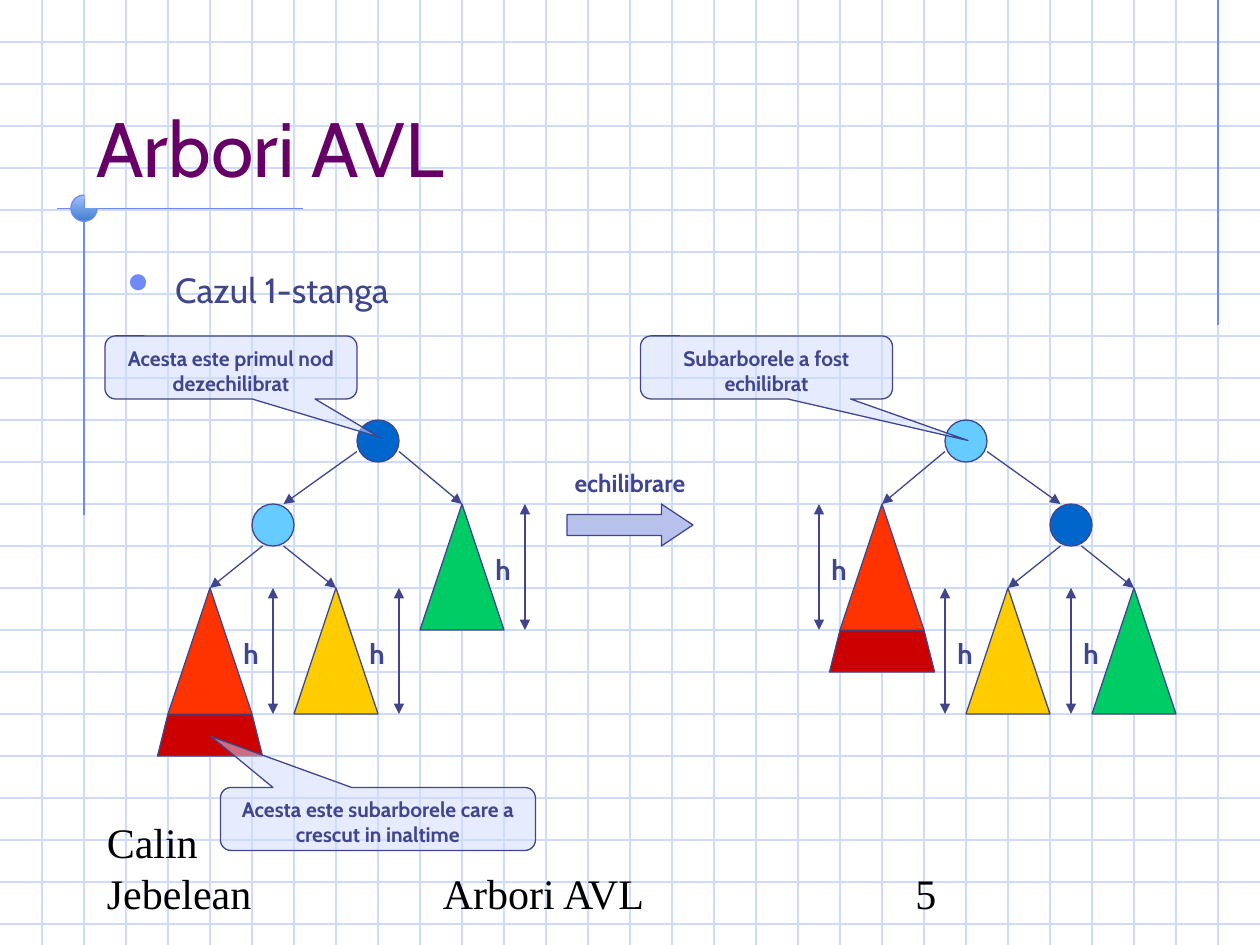
from lxml import etree
from pptx import Presentation
from pptx import util as u
from pptx.dml.color import RGBColor
from pptx.enum import shapes as kinds, text as tx
from pptx.oxml.ns import qn

INK, GRID, ACCENT = "40458C", "CFDBFD", "6F89F7"
DARK_BLUE, LIGHT_BLUE = "0066CC", "66CCFF"
RED, DARK_RED, YELLOW, GREEN = "FF3300", "CC0000", "FFCC00", "00CC66"
CELL = 24
WIDTH, HEIGHT = 720, 540


def rgb(value):
    return RGBColor.from_string(value)


def write(frame, words, size, colour=INK, font="Cabin", bold=False,
          anchor=tx.MSO_ANCHOR.TOP, **paragraph_format):
    """Fill a text frame with one formatted paragraph and return it."""
    frame.word_wrap = True
    frame.vertical_anchor = anchor
    paragraph = frame.paragraphs[0]
    for name, value in paragraph_format.items():
        setattr(paragraph, name, value)
    run = paragraph.add_run()
    run.text = words
    for name, value in {"size": u.Pt(size), "name": font, "bold": bold}.items():
        setattr(run.font, name, value)
    run.font.color.rgb = rgb(colour)
    return paragraph


prs = Presentation()
prs.slide_width, prs.slide_height = u.Pt(WIDTH), u.Pt(HEIGHT)
slide = prs.slides.add_slide(prs.slide_layouts[6])
canvas = slide.shapes

# Lines: start, end, colour, arrowheads
grid = [((0, y), (WIDTH, y), GRID, ()) for y in range(CELL, HEIGHT - 1, CELL)]
grid += [((x, 0), (x, HEIGHT), GRID, ()) for x in range(CELL, WIDTH, CELL)]
rules = [((696, 0), (696, 186), ACCENT, ()),
         ((173, 119), (32.5, 119), ACCENT, ()),
         ((48, 111.5), (48, 294.5), ACCENT, ())]
branches = [(start, end, INK, ("tailEnd",)) for start, end in [
    ((204, 258), (162, 288)), ((228, 258), (264, 288)),
    ((150, 312), (120, 336)), ((162, 312), (192, 336)),
    ((540, 258), (504, 288)), ((564, 258), (606, 288)),
    ((606, 312), (576, 336)), ((618, 312), (648, 336))]]
subtree_height = 3 * CELL
# Height arrow x, top, and left edge of its label
heights = [(156, 336, 132), (228, 336, 204), (300, 288, 276),
           (468, 288, 468), (540, 336, 540), (612, 336, 612)]
measures = [((x, top), (x, top + subtree_height), INK, ("headEnd", "tailEnd"))
            for x, top, _ in heights]

for start, end, colour, heads in grid + rules + branches + measures:
    line = canvas.add_connector(kinds.MSO_CONNECTOR.STRAIGHT,
                                *[u.Pt(v) for v in start + end])
    line.line.color.rgb = rgb(colour)
    line.line.width = u.Pt(0.75)
    for head in heads:
        etree.SubElement(line.line._get_or_add_ln(), qn(f"a:{head}"), type="triangle")
    etree.SubElement(line._element.spPr, qn("a:effectLst"))

ring = canvas.add_shape(kinds.MSO_SHAPE.ARC, *[u.Pt(v) for v in (40.5, 111.5, 15, 15)])
ring.adjustments[0], ring.adjustments[1] = 0, 162  # three quarters, clockwise
ring.shadow.inherit = False
ring.line.color.rgb = rgb(ACCENT)
ring.line.width = u.Pt(0.75)

# Title, bullet, labels and footers
LOW = tx.MSO_ANCHOR.BOTTOM
CENTER = tx.PP_ALIGN.CENTER
footer = {"size": 24, "colour": "000000", "font": "Times New Roman", "anchor": LOW}
texts = [
    ((48, 24, 612, 90), "Arbori AVL", {"size": 44, "colour": "660066", "anchor": LOW}),
    ((306, 264, 108, 24), "echilibrare",
     {"size": 14, "bold": True, "alignment": CENTER, "space_before": u.Pt(8.8)}),
    ((246, 492, 228, 36), "Arbori AVL", footer),
    ((516, 492, 150, 36), "5", footer),
    ((54, 492, 150, 36), "Calin Jebelean", footer),
]
texts += [((left, top + CELL, 24, 26.5), "h",
           {"size": 16, "bold": True, "space_before": u.Pt(10)})
          for _, top, left in heights]
for box, words, style in texts:
    write(canvas.add_textbox(*[u.Pt(v) for v in box]).text_frame, words, **style)

body = canvas.add_textbox(*[u.Pt(v) for v in (66, 150, 612, 324)])
case = write(body.text_frame, "Cazul 1-stanga", 20, space_before=u.Pt(5))
props = case._p.get_or_add_pPr()
props.set("marL", str(u.Pt(27)))
props.set("indent", str(-u.Pt(27)))
bullet_colour = etree.SubElement(props, qn("a:buClr"))
etree.SubElement(bullet_colour, qn("a:srgbClr"), val=ACCENT)
etree.SubElement(props, qn("a:buSzPct"), val="176000")
etree.SubElement(props, qn("a:buChar"), char="•")

# Filled shapes, from back to front
filled = []
arrow = canvas.add_shape(kinds.MSO_SHAPE.RIGHT_ARROW,
                         *[u.Pt(v) for v in (324, 288, 72, 24)])
arrow.adjustments[1] = 0.75
filled.append((arrow, "B7C1EB"))

for left, top, colour in [(204, 240, DARK_BLUE), (144, 288, LIGHT_BLUE),
                          (540, 240, LIGHT_BLUE), (600, 288, DARK_BLUE)]:
    node = canvas.add_shape(kinds.MSO_SHAPE.OVAL,
                            *[u.Pt(v) for v in (left, top, CELL, CELL)])
    filled.append((node, colour))

for left, bottom in [(90, 432), (474, 384)]:
    outline = canvas.build_freeform(left, bottom, scale=u.Pt(1))
    outline.add_line_segments([(left + 60, bottom), (left + 54.5, bottom - CELL),
                               (left + 5.5, bottom - CELL)])
    filled.append((outline.convert_to_shape(), DARK_RED))

for left, top, colour in [(96, 336, RED), (168, 336, YELLOW), (240, 288, GREEN),
                          (480, 288, RED), (552, 336, YELLOW), (624, 336, GREEN)]:
    subtree = canvas.add_shape(kinds.MSO_SHAPE.ISOSCELES_TRIANGLE,
                               *[u.Pt(v) for v in (left, top, 2 * CELL, subtree_height)])
    filled.append((subtree, colour))

callouts = []
for box, pointer, words in [
        ((60, 192, 144, 36), (0.59, 1.11), "Acesta este primul nod dezechilibrat"),
        ((126, 450, 180, 36), (-0.53, -1.31),
         "Acesta este subarborele care a crescut in inaltime"),
        ((366, 192, 144, 36), (0.8, 1.16), "Subarborele a fost echilibrat")]:
    callout = canvas.add_shape(kinds.MSO_SHAPE.ROUNDED_RECTANGULAR_CALLOUT,
                               *[u.Pt(v) for v in box])
    callout.adjustments[0], callout.adjustments[1] = pointer
    write(callout.text_frame, words, 12, bold=True, alignment=CENTER)
    callouts.append(callout)
    filled.append((callout, GRID))

for shape, colour in filled:
    shape.shadow.inherit = False
    shape.fill.solid()
    shape.fill.fore_color.rgb = rgb(colour)
    shape.line.color.rgb = rgb(INK)
    shape.line.width = u.Pt(0.75)

for callout in callouts:
    tint = callout._element.spPr.find(qn("a:solidFill")).find(qn("a:srgbClr"))
    etree.SubElement(tint, qn("a:alpha"), val="50000")

prs.save("out.pptx")
